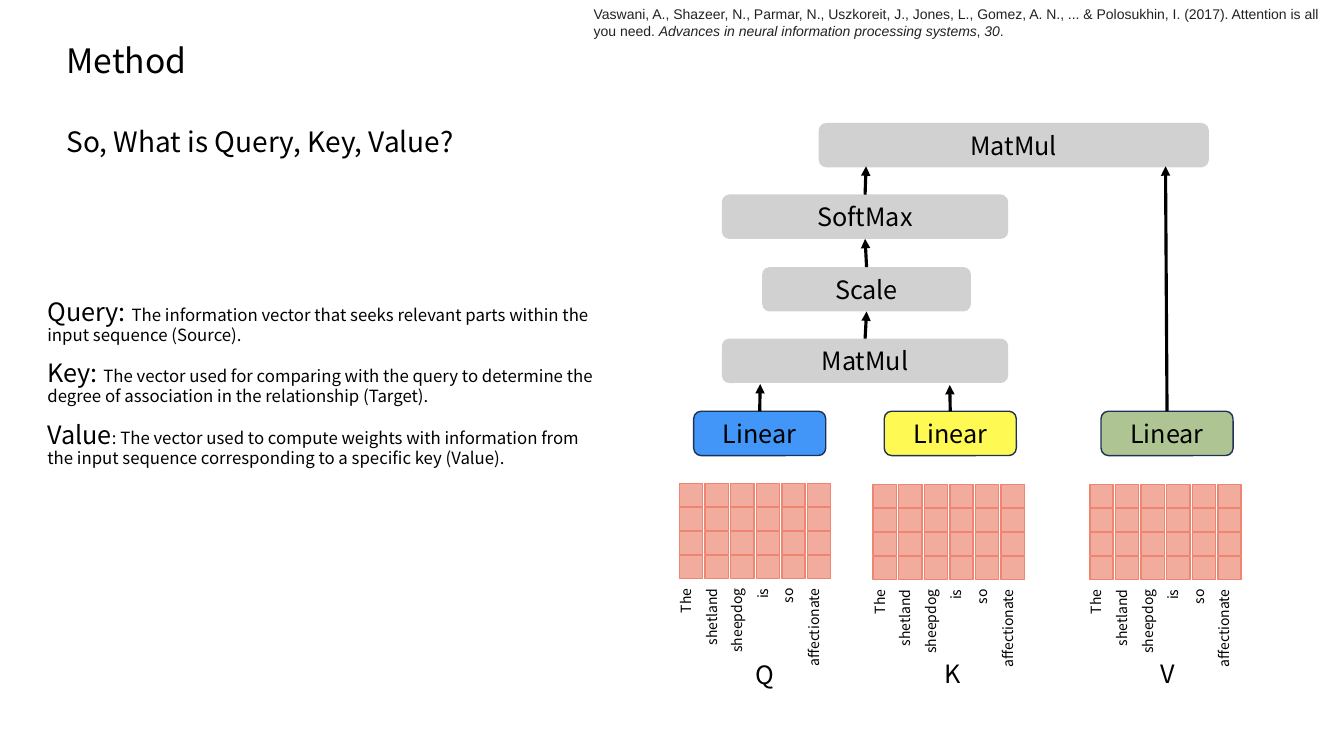
from lxml import etree
from pptx import Presentation
from pptx.dml.color import RGBColor
from pptx.enum.shapes import MSO_CONNECTOR, MSO_SHAPE
from pptx.enum.text import MSO_ANCHOR, MSO_AUTO_SIZE, PP_ALIGN
from pptx.oxml.ns import qn
from pptx.util import Inches, Pt

ROUNDED, SQUARE = MSO_SHAPE.ROUNDED_RECTANGLE, MSO_SHAPE.RECTANGLE
STRAIGHT = MSO_CONNECTOR.STRAIGHT
LEFT, CENTER, RIGHT = PP_ALIGN.LEFT, PP_ALIGN.CENTER, PP_ALIGN.RIGHT
TOP, MIDDLE = MSO_ANCHOR.TOP, MSO_ANCHOR.MIDDLE
NO_AUTOFIT = MSO_AUTO_SIZE.NONE
TOP_SIDE, BOTTOM_SIDE = 0, 2

FONT = "Noto Sans CJK KR"
COLORS = {
    "text": "000000", "citation": "222222", "step": "A5A5A5",
    "query": "4196F7", "key": "FFFA53", "value": "AEC593",
    "outline": "1E3256", "cell": "F2AC9D", "cell line": "EE8570",
}


def add_runs(para, runs, align=LEFT, color="text", font=FONT):
    """Write (text, size, italic) runs into a paragraph."""
    para.alignment = align
    for text, size, italic in runs:
        span = para.add_run()
        span.text = text
        span.font.name = font
        span.font.size = Pt(size)
        span.font.italic = italic
        span.font.color.rgb = RGBColor.from_string(COLORS[color])


def add_block(kind, left, top, width, height, fill, line=None):
    """Add a filled shape without shadow, outlined if a line colour is named."""
    block = page.shapes.add_shape(
        kind, Inches(left), Inches(top), Inches(width), Inches(height))
    block.shadow.inherit = False
    block.fill.solid()
    block.fill.fore_color.rgb = RGBColor.from_string(COLORS[fill])
    if line:
        block.line.color.rgb = RGBColor.from_string(COLORS[line])
        block.line.width = Pt(1)
    else:
        block.line.fill.background()
    return block


deck = Presentation()
deck.slide_width, deck.slide_height = Inches(13.33), Inches(7.5)
page = deck.slides.add_slide(deck.slide_layouts[1])

# Title
title = page.shapes.title
title.left, title.top = Inches(0.56), Inches(0.35)
title.width, title.height = Inches(3.92), Inches(0.5)
title.text_frame.auto_size = NO_AUTOFIT
title.text_frame.vertical_anchor = MIDDLE
add_runs(title.text_frame.paragraphs[0], [("Method", 24, False)])

# Citation
citation = page.shapes.add_textbox(
    Inches(5.79), Inches(0), Inches(7.52), Inches(0.44))
citation.text_frame.word_wrap = True
citation.text_frame.vertical_anchor = MIDDLE
add_runs(citation.text_frame.paragraphs[0], [
    ("Vaswani, A., Shazeer, N., Parmar, N., Uszkoreit, J., Jones, L., Gomez, "
     "A. N., ... & Polosukhin, I. (2017). Attention is all you need. ", 10, False),
    ("Advances in neural information processing systems", 10, True),
    (", ", 10, False), ("30", 10, True), (".", 10, False),
], color="citation", font="Arial")

# Question
question = page.shapes.add_textbox(
    Inches(0.56), Inches(1.22), Inches(7.1), Inches(0.44))
question.text_frame.word_wrap = True
question_para = question.text_frame.paragraphs[0]
question_para.line_spacing = 0.9
add_runs(question_para, [("So, What is Query, Key, Value?", 20, False)])

# Definitions
definitions = page.placeholders[1]
definitions.left, definitions.top = Inches(0.37), Inches(2.92)
definitions.width, definitions.height = Inches(5.62), Inches(2.02)
definitions.text_frame.auto_size = NO_AUTOFIT
definitions.text_frame.vertical_anchor = TOP
for index, (term, meaning) in enumerate([
    ("Query: ", "The information vector that seeks relevant parts within the "
                "input sequence (Source)."),
    ("Key: ", "The vector used for comparing with the query to determine the "
              "degree of association in the relationship (Target)."),
    ("Value", ": The vector used to compute weights with information from the "
              "input sequence corresponding to a specific key (Value)."),
]):
    frame = definitions.text_frame
    para = frame.add_paragraph() if index else frame.paragraphs[0]
    properties = para._p.get_or_add_pPr()
    properties.set("marL", "0")
    properties.set("indent", "0")
    etree.SubElement(properties, qn("a:buNone"))
    para.line_spacing = 0.9
    para.space_before = Pt(11.5 if index else 0)
    add_runs(para, [(term, 18, False), (meaning, 12, False)])

# Attention steps and linear layers
blocks = {}
for name, label, left, top, width, fill, line in [
    ("score", "MatMul", 7.16, 3.36, 2.84, "step", None),
    ("scale", "Scale", 7.56, 2.65, 2.07, "step", None),
    ("softmax", "SoftMax", 7.16, 1.93, 2.84, "step", None),
    ("output", "MatMul", 8.12, 1.22, 3.87, "step", None),
    ("query", "Linear", 6.88, 4.08, 1.31, "query", "outline"),
    ("key", "Linear", 8.77, 4.08, 1.31, "key", "outline"),
    ("value", "Linear", 10.92, 4.08, 1.31, "value", "outline"),
]:
    block = add_block(ROUNDED, left, top, width, 0.44, fill, line)
    if fill == "step":
        color = block._element.spPr.find(qn("a:solidFill"))[0]
        etree.SubElement(color, qn("a:alpha"), val="50000")
    block.text_frame.vertical_anchor = MIDDLE
    add_runs(block.text_frame.paragraphs[0], [(label, 18, False)], CENTER)
    blocks[name] = block

# Arrows: start block, end block, end point
for start, end, x, y in [
    ("score", "scale", 8.59, 3.09), ("scale", "softmax", 8.58, 2.37),
    ("softmax", None, 8.59, 1.65), ("query", None, 7.54, 3.81),
    ("key", None, 9.42, 3.82), ("value", None, 11.56, 1.65),
]:
    arrow = page.shapes.add_connector(
        STRAIGHT, Inches(x), Inches(y), Inches(x), Inches(y))
    arrow.begin_connect(blocks[start], TOP_SIDE)
    if end:
        arrow.end_connect(blocks[end], BOTTOM_SIDE)
    arrow.line.color.rgb = RGBColor.from_string(COLORS["text"])
    arrow.line.width = Pt(2.25)
    etree.SubElement(arrow.line._get_or_add_ln(), qn("a:tailEnd"), type="triangle")
    etree.SubElement(arrow._element.spPr, qn("a:effectLst"))

# Word embeddings below each linear layer
WORDS = ["The", "shetland", "sheepdog", "is", "so", "affectionate"]
ROWS, CELL = 4, 0.23
COLUMN_STEP, ROW_STEP = 1.27 / 5, 0.71 / 3
for letter, grid_left, grid_top, letter_left, letter_top in [
    ("Q", 6.74, 4.8, 7.39, 6.49),
    ("K", 8.66, 4.81, 9.27, 6.48),
    ("V", 10.81, 4.81, 11.41, 6.48),
]:
    for column, word in enumerate(WORDS):
        left = grid_left + column * COLUMN_STEP
        for row in range(ROWS):
            add_block(SQUARE, left, grid_top + row * ROW_STEP, CELL, CELL,
                      "cell", "cell line")
        word_box = page.shapes.add_textbox(
            Inches(left - 0.07), Inches(grid_top + 0.94), Inches(0.37), Inches(1.07))
        word_box.text_frame.word_wrap = True
        word_box.text_frame._txBody.bodyPr.set("vert", "vert270")
        add_runs(word_box.text_frame.paragraphs[0], [(word, 10, False)], RIGHT)
    letter_box = page.shapes.add_textbox(
        Inches(letter_left), Inches(letter_top), Inches(0.32), Inches(0.4))
    letter_box.text_frame.vertical_anchor = MIDDLE
    add_runs(letter_box.text_frame.paragraphs[0], [(letter, 18, False)], CENTER)

deck.save("out.pptx")
